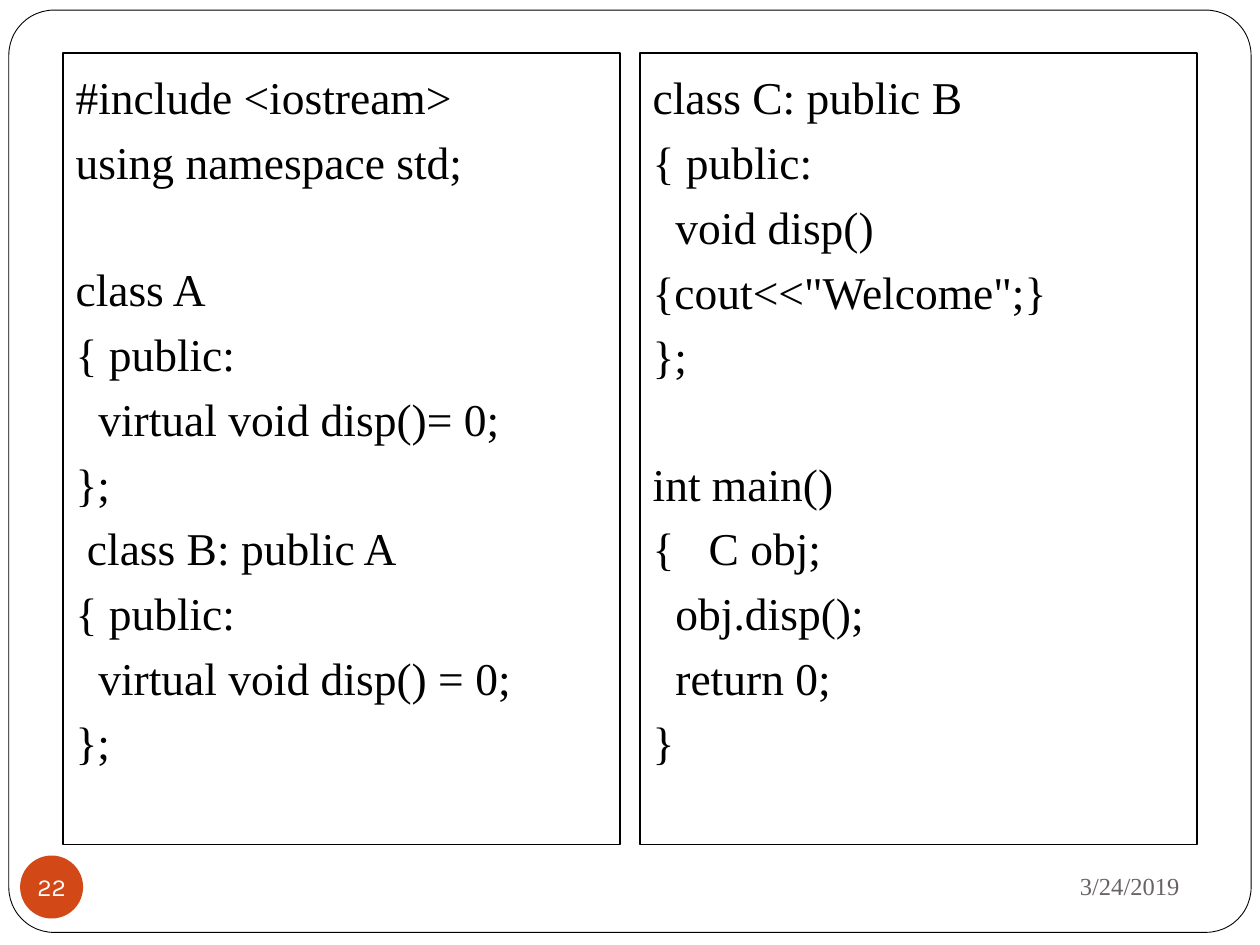
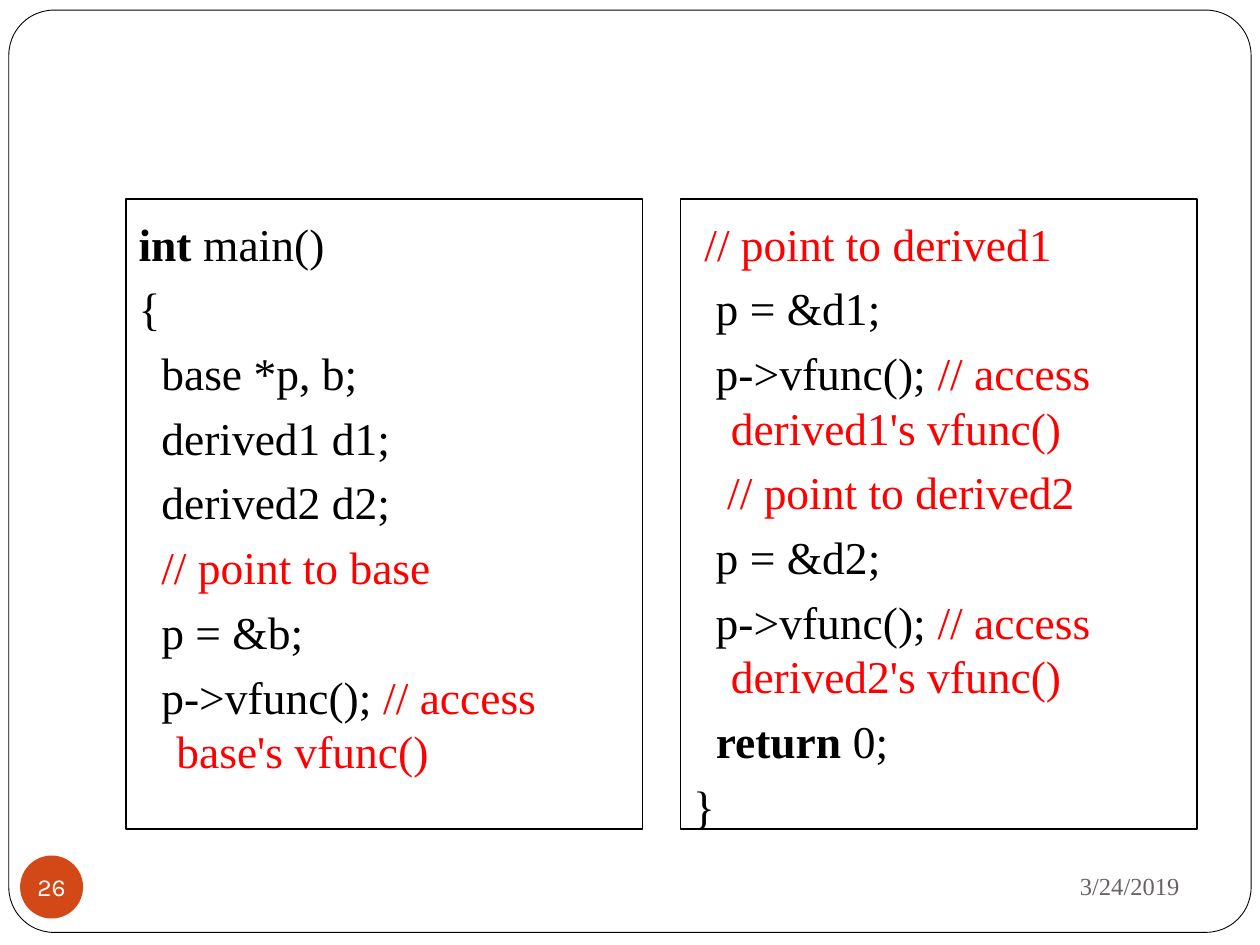
from dataclasses import dataclass

from lxml.etree import SubElement
from pptx import Presentation
from pptx.dml.color import RGBColor as RGB
from pptx.enum.shapes import MSO_SHAPE as Shape
from pptx.enum.text import MSO_ANCHOR as Anchor, MSO_AUTO_SIZE as Fit, PP_ALIGN as Align
from pptx.oxml.ns import qn
from pptx.util import Inches, Pt


@dataclass(frozen=True)
class Theme:
    ink: RGB = RGB(0, 0, 0)
    paper: RGB = RGB(255, 255, 255)
    note: RGB = RGB(255, 0, 0)
    accent: RGB = RGB(0xD3, 0x48, 0x17)
    grey: RGB = RGB(0x69, 0x64, 0x64)
    serif: str = "Times New Roman"
    sans: str = "Karla"
    code: float = 26
    small: float = 14
    lead: float = 5.8     # space before a line of code
    blank: float = 35.7   # extra space that stands for an empty line


T = Theme()
DATE = "3/24/2019"

CLASSES = """#include <iostream>
using namespace std;

class A
{ public:
  virtual void disp()= 0;
};
 class B: public A
{ public:
  virtual void disp() = 0;
};"""

CALLER = """class C: public B
{ public:
  void disp()
{cout<<"Welcome";}
};

int main()
{   C obj;
  obj.disp();
  return 0;
}"""

BASE = """int main()
{
  base *p, b;
  derived1 d1;
  derived2 d2;
  // point to base
  p = &b;
  p->vfunc(); // access base's vfunc()"""

DERIVED = """ // point to derived1
  p = &d1;
  p->vfunc(); // access derived1's vfunc()
   // point to derived2
  p = &d2;
  p->vfunc(); // access derived2's vfunc()
  return 0;
}"""


def place(shape, box):
    shape.left, shape.top, shape.width, shape.height = map(Inches, box)


def add_run(para, text, size, color, face=T.serif, bold=False):
    run = para.add_run()
    run.text = text
    font = run.font
    font.name, font.size, font.bold = face, Pt(size), bold
    font.color.rgb = color


def add_frame(slide, layout):
    """Draw the rounded page border and move it to the shared layout."""
    frame = slide.shapes.add_shape(Shape.ROUNDED_RECTANGLE, 0, 0, 0, 0)
    place(frame, (0.07, 0.08, 9.86, 7.32))
    frame.adjustments[0] = 0.049
    frame.shadow.inherit = False
    frame.fill.solid()
    frame.fill.fore_color.rgb = T.paper
    frame.line.color.rgb = T.ink
    frame.line.width = Pt(0.5)
    layout.shapes.element.insert(2, frame.element)


def split_code(line, keys):
    """Yield (text, colour, bold) for the keyword, plain code and comment."""
    code, mark, note = line.partition("//")
    for key in keys:
        if code.strip().startswith(key + " "):
            pad, key, code = code.partition(key)
            yield pad, T.ink, False
            yield key, T.ink, True
    yield code, T.ink, False
    yield mark + note, T.note, False


def fill_panel(panel, box, source, keys):
    place(panel, box)
    panel.line.color.rgb = T.ink
    panel.line.width = Pt(0.75)
    frame = panel.text_frame
    frame.word_wrap, frame.auto_size = True, Fit.NONE
    frame.vertical_anchor = Anchor.TOP
    frame.margin_top = Inches(0.05) + Pt(T.lead)
    para, space = frame.paragraphs[0], 0
    for line in source.splitlines():
        if not line:
            space += T.blank
            continue
        if para.runs:
            para = frame.add_paragraph()
        props = para._p.get_or_add_pPr()
        props.set("marL", str(Inches(0.3)))
        props.set("indent", str(-Inches(0.3)))
        SubElement(props, qn("a:buNone"))
        para.space_before = Pt(space)
        for text, color, bold in split_code(line, keys):
            if text:
                add_run(para, text, T.code, color, bold=bold)
        space = T.lead


def add_date(slide, box):
    label = slide.shapes.add_textbox(*map(Inches, box))
    frame = label.text_frame
    frame.word_wrap, frame.vertical_anchor = True, Anchor.MIDDLE
    para = frame.paragraphs[0]
    para.alignment = Align.RIGHT
    add_run(para, DATE, T.small, T.grey)


def add_badge(slide, box, number):
    badge = slide.shapes.add_shape(Shape.OVAL, *map(Inches, box))
    badge.shadow.inherit = False
    badge.fill.solid()
    badge.fill.fore_color.rgb = T.accent
    badge.line.fill.background()
    frame = badge.text_frame
    frame.margin_left = frame.margin_right = frame.margin_top = frame.margin_bottom = 0
    frame.word_wrap, frame.vertical_anchor = False, Anchor.MIDDLE
    para = frame.paragraphs[0]
    para.alignment = Align.CENTER
    add_run(para, str(number), T.small, T.paper, T.sans)


def add_code_slide(deck, layout, number, box, gap, sources, keys=()):
    """Set code panels of equal width side by side in the box."""
    slide = deck.slides.add_slide(layout)
    title, *panels = slide.placeholders
    title.element.getparent().remove(title.element)
    left, top, width, height = box
    wide = (width - gap * (len(panels) - 1)) / len(panels)
    for i, (panel, source) in enumerate(zip(panels, sources)):
        fill_panel(panel, (left + i * (wide + gap), top, wide, height), source, keys)
    add_date(slide, (6.75, 6.77, 2.71, 0.52))
    add_badge(slide, (0.16, 6.79, 0.5, 0.5), number)
    return slide


def main():
    deck = Presentation()
    deck.slide_width, deck.slide_height = Inches(10), Inches(7.5)
    layout = deck.slide_layouts.get_by_name("Two Content")
    first = add_code_slide(deck, layout, 22, (0.5, 0.42, 9, 6.28), 0.16,
                           (CLASSES, CALLER))
    add_frame(first, layout)
    add_code_slide(deck, layout, 26, (1, 1.58, 8.5, 5), 0.3,
                   (BASE, DERIVED), ("int", "return"))
    deck.save("out.pptx")


if __name__ == "__main__":
    main()
